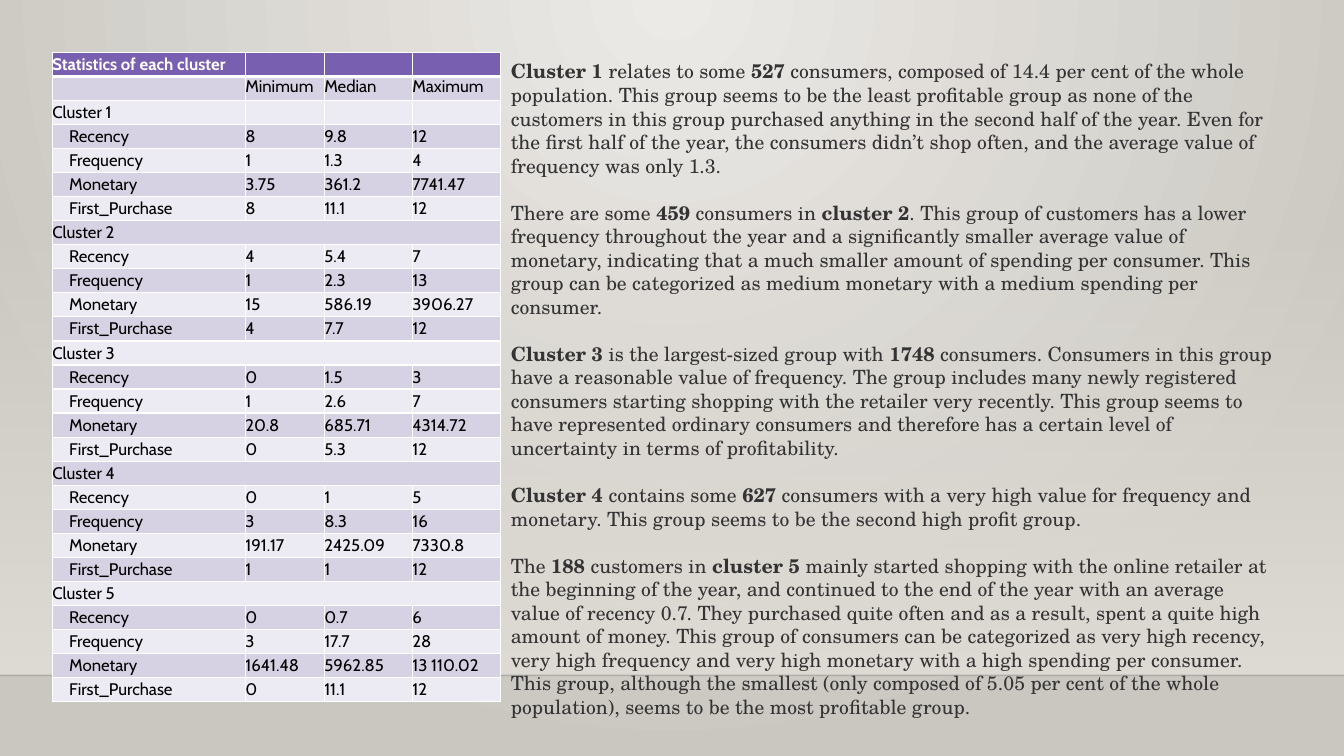
from lxml.etree import SubElement as Sub
from pptx import Presentation
from pptx.dml.color import RGBColor
from pptx.enum.shapes import MSO_CONNECTOR as Link, MSO_SHAPE as Form
from pptx.enum.text import MSO_ANCHOR as Anchor
from pptx.oxml.ns import qn
from pptx.util import Pt

WIDE, HIGH = 960, 540
FLOOR = 482.4
EDGE = "FFFFFF"
BANDS = ["ECEAF2", "D7D2E3"]
COLS = [137.9, 56.4, 62.9, 63.2]
ROW = 17.18

NAMES = ["Recency", "Frequency", "Monetary", "First_Purchase"]
STATS = [
    [("8", "9.8", "12"), ("1", "1.3", "4"),
     ("3.75", "361.2", "7741.47"), ("8", "11.1", "12")],
    [("4", "5.4", "7"), ("1", "2.3", "13"),
     ("15", "586.19", "3906.27"), ("4", "7.7", "12")],
    [("0", "1.5", "3"), ("1", "2.6", "7"),
     ("20.8", "685.71", "4314.72"), ("0", "5.3", "12")],
    [("0", "1", "5"), ("3", "8.3", "16"),
     ("191.17", "2425.09", "7330.8"), ("1", "1", "12")],
    [("0", "0.7", "6"), ("3", "17.7", "28"),
     ("1641.48", "5962.85", "13 110.02"), ("0", "11.1", "12")],
]

# Each paragraph is a list of (text, bold) runs.
NOTES = [
    [("Cluster 1 ", True), ("relates to some ", False), ("527", True),
     (" consumers, composed of 14.4 per cent of the whole population. This group "
      "seems to be the least profitable group as none of the customers in this "
      "group purchased anything in the second half of the year. Even for the first "
      "half of the year, the consumers didn’t shop often, and the average value of "
      "frequency was only 1.3.", False)],
    [("There are some ", False), ("459", True), (" consumers in ", False),
     ("cluster 2", True),
     (". This group of customers has a lower frequency throughout the year and a "
      "significantly smaller average value of monetary, indicating that a much "
      "smaller amount of spending per consumer. This group can be categorized as "
      "medium monetary with a medium spending per consumer.", False)],
    [("Cluster 3 ", True), ("is the largest-sized group with ", False),
     ("1748", True),
     (" consumers. Consumers in this group have a reasonable value of frequency. "
      "The group includes many newly registered consumers starting shopping with "
      "the retailer very recently. This group seems to have represented ordinary "
      "consumers and therefore has a certain level of uncertainty in terms of "
      "profitability.", False)],
    [("Cluster 4 ", True), ("contains some ", False), ("627", True),
     (" consumers with a very high value for frequency and monetary. This group "
      "seems to be the second high profit group.", False)],
    [("The ", False), ("188 ", True), ("customers in ", False),
     ("cluster 5 ", True),
     ("mainly started shopping with the online retailer at the beginning of the "
      "year, and continued to the end of the year with an average value of recency "
      "0.7. They purchased quite often and as a result, spent a quite high amount "
      "of money. This group of consumers can be categorized as very high recency, "
      "very high frequency and very high monetary with a high spending per "
      "consumer. This group, although the smallest (only composed of 5.05 per cent "
      "of the whole population), seems to be the most profitable group.", False)],
]


def tint(code):
    return RGBColor.from_string(code)


def fade(fill, first, last):
    fill.gradient()
    for stop, code in zip(fill.gradient_stops, (first, last)):
        stop.color.rgb = tint(code)


def clear(color, share):
    """Set the opacity, in per cent, of a colour element."""
    Sub(color, qn("a:alpha")).set("val", str(share * 1000))


def add_run(para, text, face, size, code, bold=False):
    run = para.add_run()
    run.text = text
    font = run.font
    font.name, font.size, font.bold = face, Pt(size), bold
    font.color.rgb = tint(code)


def draw_room(slide, wide, floor):
    """Paint the spotlit wall and the line where it meets the floor."""
    back = slide.background.fill
    fade(back, "ECEAE7", "CAC7C1")
    grad = slide.element.find(".//" + qn("p:bgPr") + "/" + qn("a:gradFill"))
    grad.remove(grad.find(qn("a:lin")))
    glow = Sub(grad, qn("a:path"))
    glow.set("path", "circle")
    focus = Sub(glow, qn("a:fillToRect"))
    for side, val in zip("ltrb", (43000, 0, 43000, 100000)):
        focus.set(side, str(val))

    top = 159
    wall = slide.shapes.add_shape(Form.RECTANGLE, 0, Pt(top), Pt(wide),
                                  Pt(floor - top))
    wall.shadow.inherit = False
    wall.line.fill.background()
    fade(wall.fill, "DFDBD5", "DFDBD5")
    wall.fill.gradient_angle = 270
    clear(wall.element.spPr.find(".//" + qn("a:srgbClr")), 0)

    seam = slide.shapes.add_connector(Link.STRAIGHT, 0, Pt(floor), Pt(wide),
                                      Pt(floor))
    seam.line.width = Pt(1)
    seam.line.color.rgb = tint("000001")
    props = seam.element.spPr
    clear(props.find(".//" + qn("a:srgbClr")), 20)
    Sub(props, qn("a:effectLst"))


def edge_cell(cell, top, bottom):
    props = cell._tc.get_or_add_tcPr()
    for side, width in (("L", 1), ("R", 1), ("T", top), ("B", bottom)):
        line = Sub(props, qn("a:ln" + side))
        line.set("w", str(Pt(width)))
        Sub(Sub(line, qn("a:solidFill")), qn("a:srgbClr")).set("val", EDGE)


def fill_cell(cell, text, row, indent):
    head = row == 0
    edge_cell(cell, 3 if row == 1 else 1, 3 if head else 1)
    cell.fill.solid()
    cell.fill.fore_color.rgb = tint("795FAF" if head else BANDS[row % 2])
    cell.margin_left = Pt(indent)
    cell.margin_right = cell.margin_top = cell.margin_bottom = 0
    cell.vertical_anchor = Anchor.TOP if row == 1 else Anchor.MIDDLE
    para = cell.text_frame.paragraphs[0]
    if text:
        add_run(para, text, "Cabin", 12, EDGE if head else "000000", head)
    else:
        Sub(para._p, qn("a:endParaRPr")).set("sz", "1200")


def list_rows():
    rows = [("Statistics of each cluster", "", "", ""),
            ("", "Minimum", "Median", "Maximum")]
    for num, group in enumerate(STATS, 1):
        rows.append((f"Cluster {num}", "", "", ""))
        rows += [(name, *vals) for name, vals in zip(NAMES, group)]
    return rows


def draw_stats(slide, left, top):
    rows = list_rows()
    grid = slide.shapes.add_table(len(rows), len(COLS), Pt(left), Pt(top),
                                  Pt(sum(COLS)), Pt(ROW * len(rows))).table
    for col, width in zip(grid.columns, COLS):
        col.width = Pt(width)
    for r, texts in enumerate(rows):
        grid.rows[r].height = Pt(ROW)
        for c, text in enumerate(texts):
            indent = 12 if c == 0 and text in NAMES else 0
            fill_cell(grid.cell(r, c), text, r, indent)
        if texts[0].startswith("Cluster") and texts[0] != "Cluster 1":
            grid.cell(r, 0).merge(grid.cell(r, len(COLS) - 1))


def draw_notes(slide, left, top, wide, high):
    frame = slide.shapes.add_textbox(Pt(left), Pt(top), Pt(wide),
                                     Pt(high)).text_frame
    frame.word_wrap = True
    for num, runs in enumerate(NOTES):
        para = frame.add_paragraph() if num else frame.paragraphs[0]
        para.space_before = Pt(16.8 if num else 0)
        for text, bold in runs:
            add_run(para, text, "TeX Gyre Schola", 14, "333333", bold)


def main():
    deck = Presentation()
    deck.slide_width, deck.slide_height = Pt(WIDE), Pt(HIGH)
    slide = deck.slides.add_slide(deck.slide_layouts[6])
    draw_room(slide, WIDE, FLOOR)
    draw_stats(slide, 37.4, 37.4)
    draw_notes(slide, 357.8, 38.9, 560.9, 465)
    deck.save("out.pptx")


if __name__ == "__main__":
    main()
